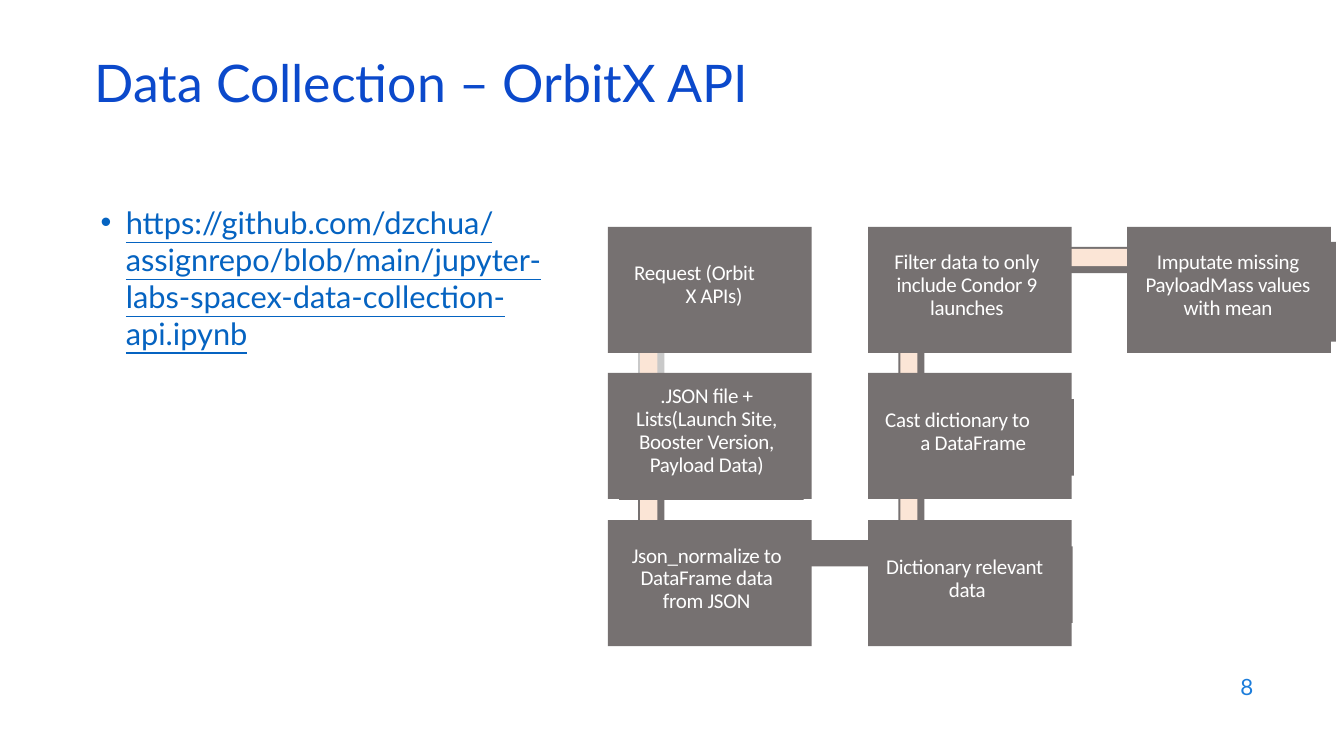
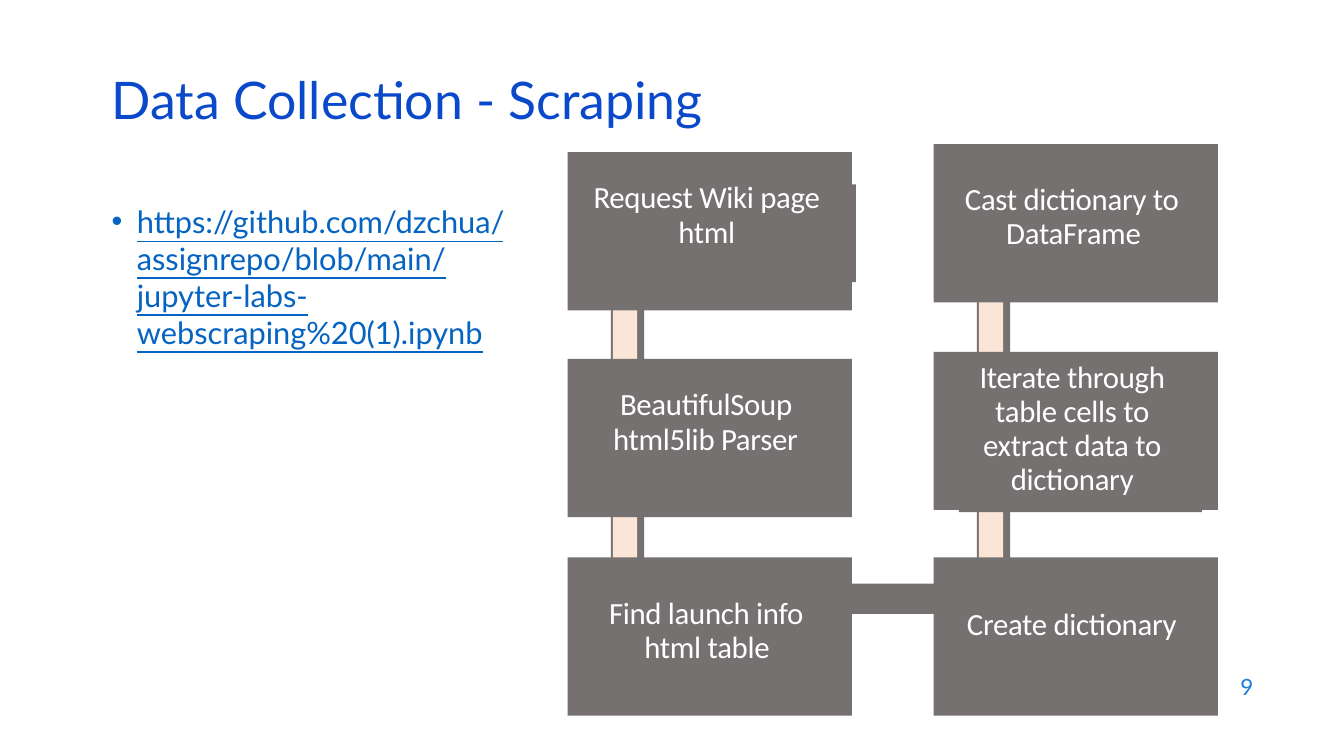
from dataclasses import dataclass
from typing import Optional

from lxml.etree import SubElement
from pptx import Presentation
from pptx.dml.color import RGBColor
from pptx.enum.shapes import MSO_SHAPE
from pptx.enum.text import MSO_ANCHOR, PP_ALIGN
from pptx.oxml.ns import qn
from pptx.util import Inches, Pt

TITLE_BLUE = RGBColor(0x0B, 0x49, 0xCB)
NUMBER_BLUE = RGBColor(0x1C, 0x7D, 0xDB)
LINK_BLUE = RGBColor(0x05, 0x63, 0xC1)
BOX_GRAY = RGBColor(0x76, 0x71, 0x71)
PALE_GRAY = RGBColor(0xC9, 0xC9, 0xC9)
PEACH = RGBColor(0xFB, 0xE5, 0xD6)
WHITE = RGBColor(0xFF, 0xFF, 0xFF)

TITLE_FONT = {"name": "Lato", "size": Pt(37), "color": TITLE_BLUE}
NUMBER_FONT = {"name": "Lato", "size": Pt(16), "color": NUMBER_BLUE}
LINK_FONT = {"name": "Lato", "size": Pt(22), "color": LINK_BLUE, "underline": True}

STRIPE_INSET = 0.02
STRIPE_TRIM = 0.09


@dataclass(frozen=True)
class Area:
    left: float
    top: float
    width: float
    height: float

    def lengths(self) -> tuple:
        return tuple(map(Inches, (self.left, self.top, self.width, self.height)))


@dataclass(frozen=True)
class Hang:
    """Left margin and first-line indent of a left-aligned label."""
    margin: float
    first: float


@dataclass(frozen=True)
class Step:
    left: float
    top: float
    text: str
    text_left: float
    text_top: float
    text_width: float
    hang: Optional[Hang] = None  # None centres the label
    plate: Optional[Area] = None  # backing that sticks out behind the box
    spacing: Optional[float] = None


@dataclass(frozen=True)
class Link:
    """Bar starting inside a step: downwards, or to the right if across."""
    step: int
    across: bool = False
    striped: bool = True
    color: RGBColor = BOX_GRAY


@dataclass(frozen=True)
class Flow:
    box_width: float
    box_height: float
    font_size: float
    spacing: float
    down: Area  # bar offset from its step, and bar size
    across: Area
    steps: tuple
    links: tuple


@dataclass(frozen=True)
class FlowSlide:
    title: str
    title_area: Area
    url: str
    url_area: Area
    number: str
    flow: Flow


API_FLOW = Flow(
    2.02, 1.25, 15, 16.4,
    Area(0.3, 0.29, 0.26, 1.53), Area(0.4, 0.2, 2.65, 0.26),
    (
        Step(6.03, 2.25, "Request (Orbit\vX APIs)", 6.28, 2.6, 1.45, Hang(0.52, -0.51)),
        Step(6.03, 3.7, ".JSON file +\vLists(Launch Site,\vBooster Version,\vPayload Data)",
             6.28, 3.82, 1.46, plate=Area(6.14, 3.74, 1.83, 1.22)),
        Step(6.03, 5.16, "Json_normalize to\vDataFrame data\vfrom JSON", 6.24, 5.4, 1.54),
        Step(8.61, 5.16, "Dictionary relevant\vdata", 8.78, 5.51, 1.62, Hang(0.63, -0.62),
             Area(8.64, 5.42, 2, 0.76)),
        Step(8.61, 3.7, "Cast dictionary to\va DataFrame", 8.77, 4.06, 1.63, Hang(0.36, -0.35),
             Area(8.63, 3.96, 2.02, 0.76)),
        Step(8.61, 2.25, "Filter data to only\vinclude Condor 9\vlaunches", 8.84, 2.49, 1.5),
        Step(11.18, 2.25, "Imputate missing\vPayloadMass values\vwith mean", 11.34, 2.49, 1.68,
             plate=Area(11.18, 2.4, 2.07, 0.99)),
    ),
    (
        Link(0, color=PALE_GRAY),
        Link(1),
        Link(2, across=True, striped=False),
        Link(4),
        Link(5),
        Link(5, across=True),
    ),
)

SCRAPING_FLOW = Flow(
    2.82, 1.57, 22, 24.3,
    Area(0.43, 0.38, 0.33, 1.93), Area(0.56, 0.26, 3.71, 0.3),
    (
        Step(5.63, 1.51, "Request Wiki page\vhtml", 5.85, 1.78, 2.32,
             plate=Area(5.65, 1.83, 2.84, 0.97), spacing=25.2),
        Step(5.63, 3.56, "BeautifulSoup\vhtml5lib Parser", 6.07, 3.83, 1.87,
             Hang(0.01, 0.07), spacing=25.2),
        Step(5.63, 5.53, "Find launch info\vhtml table", 6.02, 5.92, 1.97, Hang(0.37, -0.35)),
        Step(9.26, 5.53, "Create dictionary", 9.58, 6.03, 2.13, Hang(0.01, 0)),
        Step(9.26, 3.49, "Iterate through\vtable cells to\vextract data to\vdictionary",
             9.7, 3.58, 1.87, plate=Area(9.51, 3.5, 2.41, 1.58)),
        Step(9.26, 1.43, "Cast dictionary to\vDataFrame", 9.56, 1.81, 2.17, Hang(0.42, -0.41)),
    ),
    (Link(0), Link(1), Link(2, across=True, striped=False), Link(4), Link(5)),
)

SLIDES = (
    FlowSlide(
        "Data Collection – OrbitX API", Area(0.84, 0.59, 11.5, 0.6),
        "https://github.com/dzchua/assignrepo/blob/main/jupyter-labs-spacex-data-collection-api.ipynb",
        Area(0.9, 1.97, 5.07, 4.62), "8", API_FLOW,
    ),
    FlowSlide(
        "Data Collection - Scraping", Area(1.01, 0.76, 11.5, 0.6),
        "https://github.com/dzchua/assignrepo/blob/main/jupyter-labs-webscraping%20(1).ipynb",
        Area(1.01, 1.96, 4.3, 4.17), "9", SCRAPING_FLOW,
    ),
)


def format_font(font, values: dict) -> None:
    for name, value in values.items():
        if name == "color":
            font.color.rgb = value
        else:
            setattr(font, name, value)


def set_indent(paragraph, margin: float, first: float) -> None:
    properties = paragraph._p.get_or_add_pPr()
    properties.set("marL", str(Inches(margin)))
    properties.set("indent", str(Inches(first)))


def add_text(slide, area: Area, text: str, font: dict, anchor=MSO_ANCHOR.MIDDLE):
    """Add a one-paragraph text box and return its paragraph."""
    frame = slide.shapes.add_textbox(*area.lengths()).text_frame
    frame.word_wrap = True
    frame.vertical_anchor = anchor
    paragraph = frame.paragraphs[0]
    run = paragraph.add_run()
    run.text = text
    format_font(run.font, font)
    return paragraph


def add_rectangle(slide, area: Area, color: RGBColor):
    shape = slide.shapes.add_shape(MSO_SHAPE.RECTANGLE, *area.lengths())
    shape.shadow.inherit = False
    shape.fill.solid()
    shape.fill.fore_color.rgb = color
    shape.line.fill.background()
    return shape


def add_link(slide, flow: Flow, link: Link) -> None:
    step = flow.steps[link.step]
    bar = flow.across if link.across else flow.down
    left, top = step.left + bar.left, step.top + bar.top
    add_rectangle(slide, Area(left, top, bar.width, bar.height), link.color)
    if link.striped:
        stripe = Area(left + STRIPE_INSET, top + STRIPE_INSET,
                      bar.width - STRIPE_TRIM, bar.height - STRIPE_TRIM)
        add_rectangle(slide, stripe, PEACH)


def add_step(slide, flow: Flow, step: Step) -> None:
    if step.plate:
        add_rectangle(slide, step.plate, BOX_GRAY)
    box = add_rectangle(slide, Area(step.left, step.top, flow.box_width, flow.box_height), BOX_GRAY)
    right_gap = step.left + flow.box_width - step.text_left - step.text_width
    frame = box.text_frame
    frame_format = {
        "word_wrap": True,
        "vertical_anchor": MSO_ANCHOR.TOP,
        "margin_left": Inches(step.text_left - step.left),
        "margin_top": Inches(step.text_top - step.top),
        "margin_right": Inches(0 if step.hang else right_gap),
        "margin_bottom": 0,
    }
    for name, value in frame_format.items():
        setattr(frame, name, value)

    paragraph = frame.paragraphs[0]
    paragraph.text = step.text
    paragraph.alignment = PP_ALIGN.LEFT if step.hang else PP_ALIGN.CENTER
    paragraph.line_spacing = Pt(step.spacing or flow.spacing)
    if step.hang:
        set_indent(paragraph, step.hang.margin, step.hang.first)
    for run in paragraph.runs:
        format_font(run.font, {"name": "Calibri", "size": Pt(flow.font_size), "color": WHITE})
        run._r.get_or_add_rPr().set("spc", "-20")


def add_url(slide, area: Area, url: str) -> None:
    paragraph = add_text(slide, area, url, LINK_FONT, MSO_ANCHOR.TOP)
    set_indent(paragraph, 0.25, -0.25)
    properties = paragraph._p.get_or_add_pPr()
    SubElement(properties, qn("a:buFont")).set("typeface", "Arial")
    SubElement(properties, qn("a:buChar")).set("char", "•")


def add_flow_slide(presentation, content: FlowSlide) -> None:
    slide = presentation.slides.add_slide(presentation.slide_layouts[6])
    number = add_text(slide, Area(9.53, 6.59, 3, 0.44), content.number, NUMBER_FONT)
    number.alignment = PP_ALIGN.RIGHT
    add_url(slide, content.url_area, content.url)
    title = add_text(slide, content.title_area, content.title, TITLE_FONT)
    title.line_spacing = 0.7
    for link in content.flow.links:
        add_link(slide, content.flow, link)
    for step in content.flow.steps:
        add_step(slide, content.flow, step)


def main() -> None:
    presentation = Presentation()
    presentation.slide_width = Inches(13.33)
    presentation.slide_height = Inches(7.5)
    for content in SLIDES:
        add_flow_slide(presentation, content)
    presentation.save("out.pptx")


if __name__ == "__main__":
    main()
